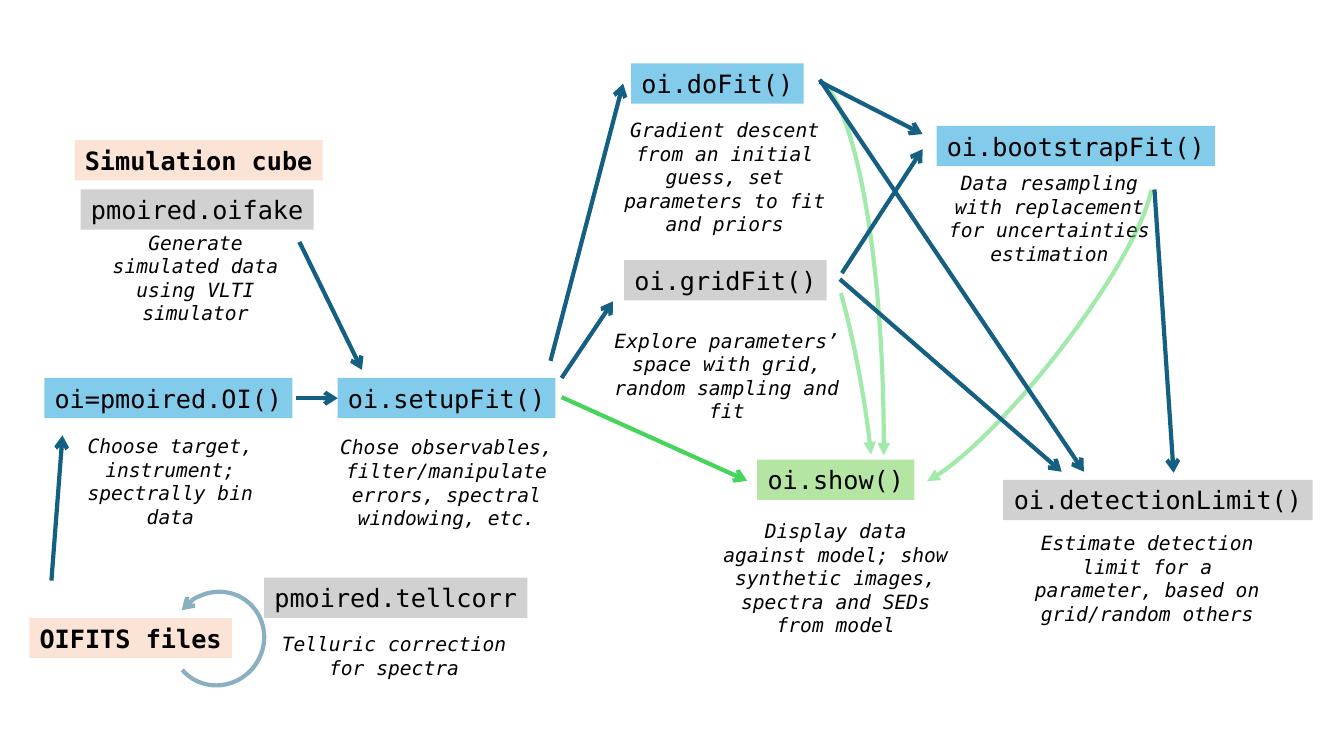
from lxml import etree
from pptx import Presentation
from pptx.dml.color import RGBColor
from pptx.enum.shapes import MSO_CONNECTOR, MSO_SHAPE
from pptx.enum.text import MSO_ANCHOR, MSO_AUTO_SIZE, PP_ALIGN
from pptx.oxml.ns import qn
from pptx.util import Inches, Pt

RECT, ARC, LINE = MSO_SHAPE.RECTANGLE, MSO_SHAPE.ARC, MSO_CONNECTOR.STRAIGHT
TOP, MIDDLE, CENTER = MSO_ANCHOR.TOP, MSO_ANCHOR.MIDDLE, PP_ALIGN.CENTER
GROW = MSO_AUTO_SIZE.SHAPE_TO_FIT_TEXT
FONT = "DejaVu Sans Mono"
TAG = 0.4
COLORS = {
    "ink": "000000", "data": "FBE3D6", "core": "83CBEB", "extra": "D1D1D1",
    "show": "B4E5A2", "flow": "156082", "view": "47D45A",
}

TAGS = [
    ("OIFITS files", "data", 0.29, 6.13, 2.01),
    ("Simulation cube", "data", 0.74, 1.39, 2.46),
    ("oi=pmoired.OI()", "core", 0.44, 3.75, 2.46),
    ("oi.setupFit()", "core", 3.35, 3.75, 2.16),
    ("oi.doFit()", "core", 6.26, 0.63, 1.71),
    ("oi.bootstrapFit()", "core", 9.29, 1.25, 2.76),
    ("oi.gridFit()", "extra", 6.19, 2.58, 2.01),
    ("pmoired.oifake", "extra", 0.8, 1.88, 2.31),
    ("oi.detectionLimit()", "extra", 9.95, 4.76, 3.07),
    ("pmoired.tellcorr", "extra", 2.62, 5.73, 2.61),
    ("oi.show()", "show", 7.51, 4.56, 1.56),
]

NOTES = [
    ("Telluric correction for spectra", 2.68, 6.22, 2.46, 0.57),
    ("Choose target, instrument; spectrally bin data", 0.62, 4.26, 2.14, 1.04),
    ("Chose observables, filter/manipulate errors, spectral windowing, etc.",
     3.2, 4.27, 2.46, 1.04),
    ("Gradient descent from an initial guess, set parameters to fit and priors",
     5.96, 1.12, 2.46, 1.28),
    ("Explore parameters’ space with grid, random sampling and fit",
     5.98, 3.21, 2.46, 1.04),
    ("Display data against model; show synthetic images, spectra and SEDs from model",
     7.06, 5.1, 2.46, 1.28),
    ("Generate simulated data using VLTI simulator", 0.87, 2.24, 2.14, 1.04),
    ("Data resampling with replacement for uncertainties estimation",
     9.18, 1.65, 2.46, 1.04),
    ("Estimate detection limit for a parameter, based on grid/random others",
     10.15, 5.22, 2.46, 1.04),
]

ARCS = [
    ((1.69, 5.88, 0.94, 0.91), 308.1, False, (162, 114.3), "flow", "arrow"),
    ((6.89, 3.66, 2.93, 0.38), 260.1, True, (8.06, 102.63), "view", "triangle"),
    ((4.36, 3.68, 7.33, 1.48), 270, True, (49.43, 106.87), "view", "triangle"),
    ((8.18, 2.83, 3.97, 0.83), 307.9, True, (3.31, 105.13), "view", "triangle"),
]

ARROWS = [
    ("flow", 2.97, 2.4, 3.59, 3.67),
    ("flow", 2.94, 3.95, 3.35, 3.95),
    ("flow", 5.46, 3.58, 6.18, 0.83),
    ("flow", 5.57, 3.75, 6.08, 2.99),
    ("view", 5.57, 3.94, 7.41, 4.77),
    ("flow", 0.51, 5.76, 0.62, 4.32),
    ("flow", 8.13, 0.81, 9.15, 1.33),
    ("flow", 8.35, 2.71, 9.15, 1.48),
    ("flow", 8.33, 2.77, 10.53, 4.68),
    ("flow", 8.13, 0.79, 10.75, 4.68),
    ("flow", 11.45, 1.88, 11.64, 4.69),
]


def color(key):
    return RGBColor.from_string(COLORS[key])


def box(*sizes):
    return [Inches(size) for size in sizes]


def write(shape, text, size, wrap, anchor, bold=False, italic=False):
    frame = shape.text_frame
    frame.word_wrap = wrap
    frame.auto_size = GROW
    frame.vertical_anchor = anchor
    para = frame.paragraphs[0]
    para.alignment = CENTER
    run = para.add_run()
    run.text = text
    font = run.font
    font.name, font.size = FONT, Pt(size)
    font.bold, font.italic = bold, italic
    font.color.rgb = color("ink")


def stroke(shape, key, end, kind):
    shape.line.color.rgb = color(key)
    shape.line.width = Pt(3)
    tip = etree.SubElement(shape.line._get_or_add_ln(), qn(end))
    tip.set("type", kind)


prs = Presentation()
prs.slide_width, prs.slide_height = box(13.33, 7.5)
slide = prs.slides.add_slide(prs.slide_layouts[6])
shapes = slide.shapes

for text, *place in NOTES:
    note = shapes.add_textbox(*box(*place))
    write(note, text, 14, True, TOP, italic=True)

for text, key, left, top, width in TAGS:
    tag = shapes.add_shape(RECT, *box(left, top, width, TAG))
    tag.shadow.inherit = False
    tag.fill.solid()
    tag.fill.fore_color.rgb = color(key)
    tag.line.fill.background()
    write(tag, text, 18, False, MIDDLE, bold=key == "data")

for place, turn, flip, angles, key, kind in ARCS:
    arc = shapes.add_shape(ARC, *box(*place))
    arc.shadow.inherit = False
    arc.fill.background()
    arc.rotation = turn
    for i, angle in enumerate(angles):
        arc.adjustments[i] = angle
    if flip:
        arc._element.spPr.find(qn("a:xfrm")).set("flipH", "1")
    stroke(arc, key, "a:headEnd", kind)
    tint = arc._element.spPr.find(".//" + qn("a:ln") + "//" + qn("a:srgbClr"))
    etree.SubElement(tint, qn("a:alpha")).set("val", "50000")

for key, *ends in ARROWS:
    arrow = shapes.add_connector(LINE, *box(*ends))
    stroke(arrow, key, "a:tailEnd", "arrow")
    etree.SubElement(arrow._element.spPr, qn("a:effectLst"))

prs.save("out.pptx")
